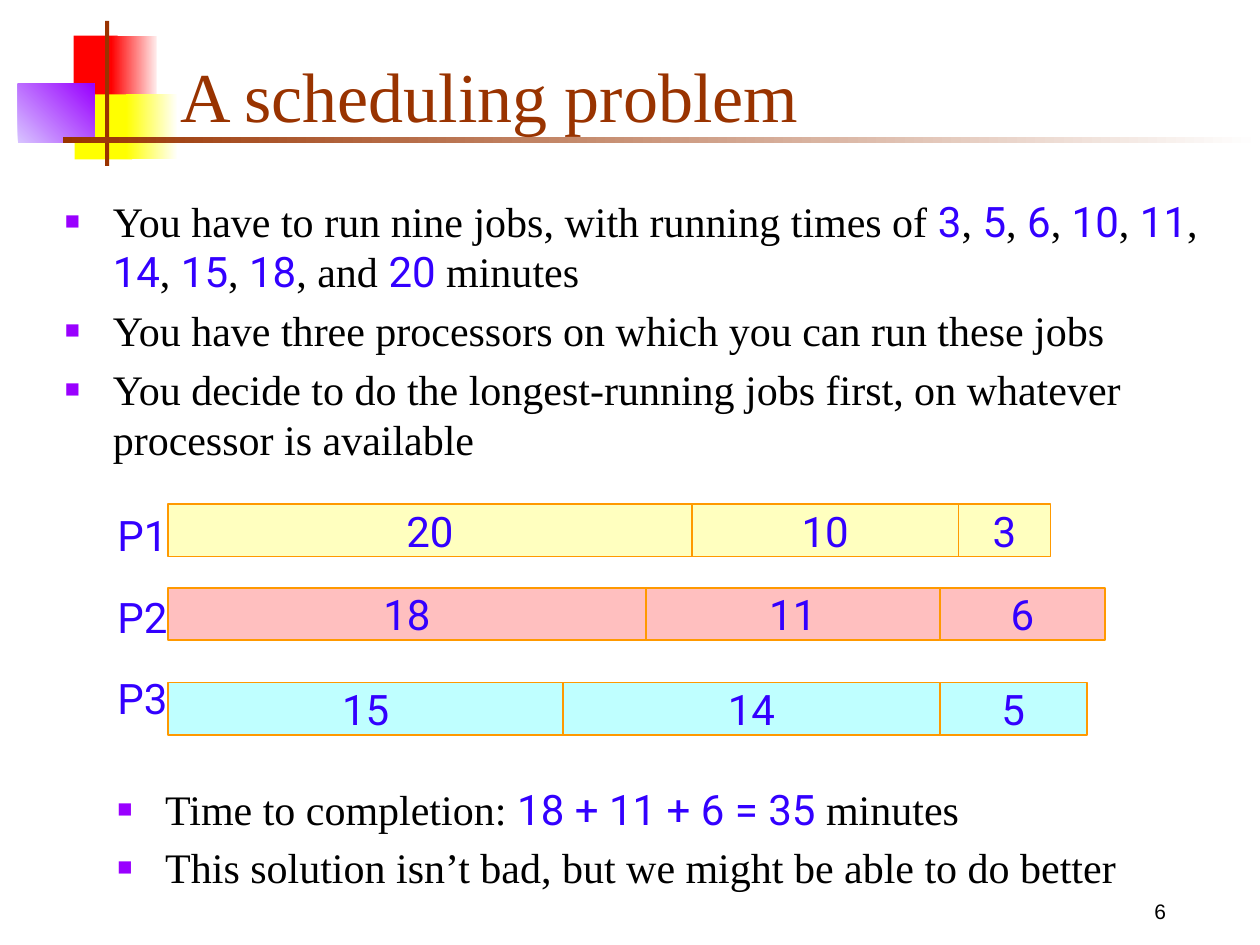
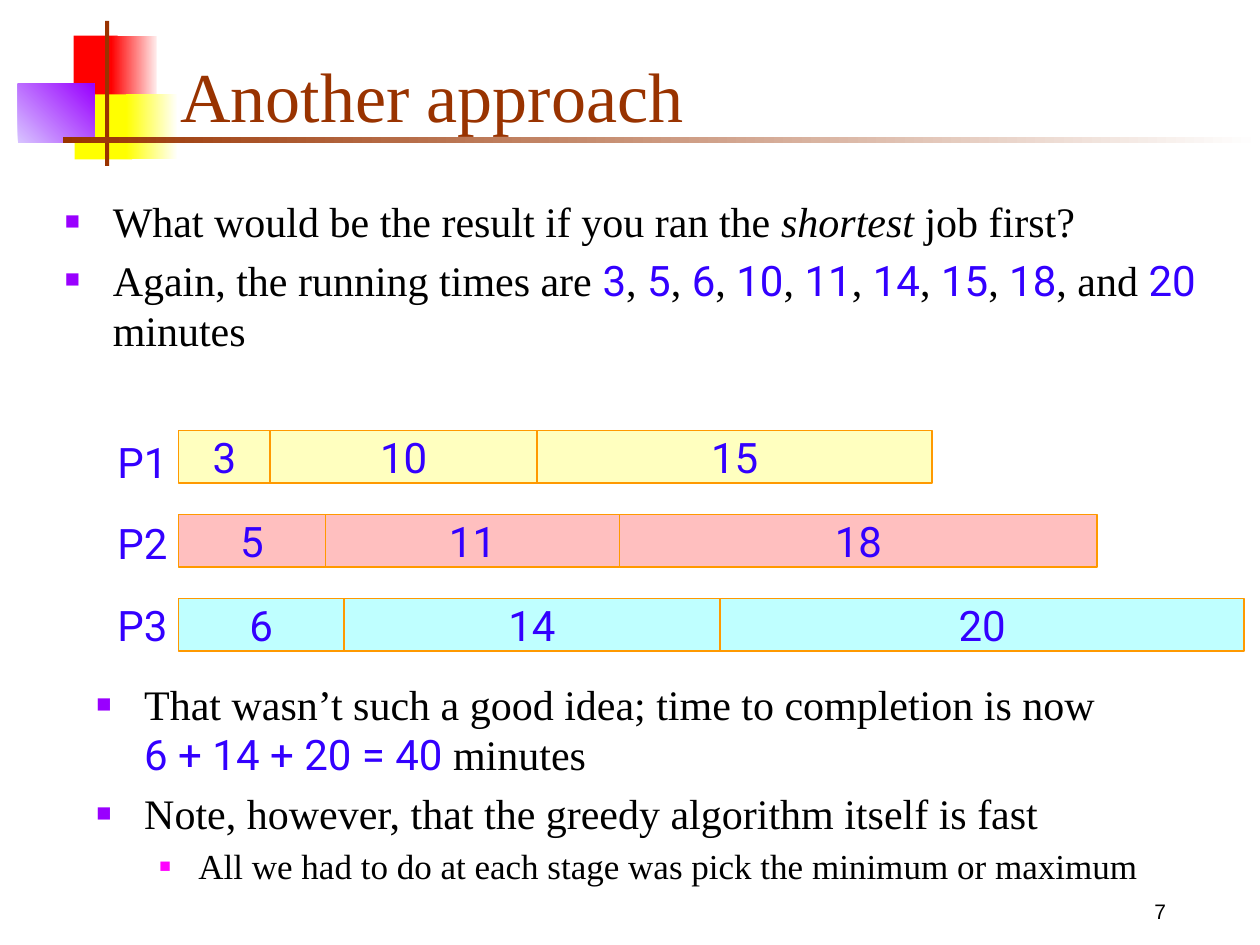
from collections import namedtuple

from lxml.etree import SubElement
from pptx import Presentation
from pptx.dml.color import RGBColor
from pptx.enum.shapes import MSO_SHAPE
from pptx.enum.text import MSO_ANCHOR, PP_ALIGN
from pptx.oxml.ns import qn
from pptx.util import Inches, Pt

BLACK = RGBColor(0x00, 0x00, 0x00)
BROWN = RGBColor(0x99, 0x33, 0x00)
BLUE = RGBColor(0x33, 0x00, 0xFF)
RED = RGBColor(0xFF, 0x00, 0x00)
PALE_RED = RGBColor(0xFF, 0xEA, 0xEA)
YELLOW = RGBColor(0xFF, 0xFF, 0x00)
PALE_YELLOW = RGBColor(0xFF, 0xFF, 0xF8)
PURPLE = RGBColor(0x99, 0x00, 0xFF)
LILAC = RGBColor(0xD8, 0xC4, 0xFF)
MAGENTA = RGBColor(0xFF, 0x00, 0xFF)
WHITE = RGBColor(0xFF, 0xFF, 0xFF)
ORANGE = RGBColor(0xFF, 0x99, 0x00)
PROCESSOR_COLOURS = {
    "P1": RGBColor(0xFF, 0xFF, 0xBF),
    "P2": RGBColor(0xFF, 0xBF, 0xBF),
    "P3": RGBColor(0xBF, 0xFF, 0xFF),
}

SERIF, SANS, NUMBER_FONT = "Times New Roman", "Arial", "Roboto"

# The slide is a grid of 120 columns by 90 rows, twelve cells to the inch.
COLUMNS, ROWS = 120, 90
CELL = Inches(10) / COLUMNS
Box = namedtuple("Box", "left top width height")
Level = namedtuple("Level", "size indent hanging bullet_colour bullet_share")

LEVELS = (
    Level(24, 0.38, 0.38, PURPLE, 60),
    Level(20, 0.81, 0.31, MAGENTA, 55),
)

TITLE_BOX = Box(16, 4, 102.2, 10)
NUMBER_BOX = Box(104, 85, 13, 3.6)
BAR_HEIGHT = 5
# Columns taken by a job of each running time in minutes
JOB_COLUMNS = {3: 8.75, 5: 14, 6: 15.75, 10: 25.4, 11: 28,
               14: 35.85, 15: 37.65, 18: 45.5, 20: 49.9}

# Box, colours from first to last stop, gradient angle
ORNAMENTS = (
    (Box(7, 3.4, 4.2, 6.2), [RED], 0),
    (Box(10.6, 3.4, 4.3, 6.2), [RED, PALE_RED], 0),
    (Box(7.1, 9, 5.5, 6.2), [YELLOW], 0),
    (Box(12, 9, 4.8, 6.2), [YELLOW, PALE_YELLOW], 0),
    (Box(1.7, 8, 7.3, 5.6), [LILAC, PURPLE], 45),
    (Box(10, 2, 0.4, 13.8), [BROWN], 0),
    (Box(6, 13, 114, 0.6), [BROWN, WHITE], 0),
)


def cells(box):
    return [round(length * CELL) for length in box]


def style(font, name, size, colour):
    font.name = name
    font.size = Pt(size)
    font.color.rgb = colour


def add_rectangle(page, box, colours, angle=0):
    """Draw a borderless rectangle, with a gradient if it has two colours."""
    shape = page.shapes.add_shape(MSO_SHAPE.RECTANGLE, *cells(box))
    shape.shadow.inherit = False
    shape.line.fill.background()
    if len(colours) == 1:
        shape.fill.solid()
        shape.fill.fore_color.rgb = colours[0]
    else:
        shape.fill.gradient()
        shape.fill.gradient_angle = angle
        for stop, colour in zip(shape.fill.gradient_stops, colours):
            stop.color.rgb = colour
    return shape


def add_text_frame(page, box):
    frame = page.shapes.add_textbox(*cells(box)).text_frame
    frame.word_wrap = True
    return frame


def add_line(page, box, text, font_name, size, colour):
    """Add a text box holding one paragraph and return its frame."""
    frame = add_text_frame(page, box)
    frame.text = text
    style(frame.paragraphs[0].runs[0].font, font_name, size, colour)
    return frame


def next_paragraph(frame, index, space):
    if index == 0:
        return frame.paragraphs[0]
    para = frame.add_paragraph()
    para.space_before = Pt(space)
    return para


def add_bullet(para, level):
    properties = para._p.get_or_add_pPr()
    properties.set("marL", str(Inches(level.indent)))
    properties.set("indent", str(-Inches(level.hanging)))
    colour = SubElement(properties, qn("a:buClr"))
    SubElement(colour, qn("a:srgbClr"), val=str(level.bullet_colour))
    SubElement(properties, qn("a:buSzPct"), val=str(level.bullet_share * 1000))
    SubElement(properties, qn("a:buFont"), typeface=SANS)
    SubElement(properties, qn("a:buChar"), char="■")


def add_spans(para, text, size):
    """Write text in which `ticks` mark numbers and _underscores_ italics."""
    for line_index, line in enumerate(text.split("\n")):
        if line_index:
            para.add_line_break()
        for tick_index, part in enumerate(line.split("`")):
            for score_index, piece in enumerate(part.split("_")):
                if not piece:
                    continue
                span = para.add_run()
                span.text = piece
                if tick_index % 2:
                    style(span.font, NUMBER_FONT, size, BLUE)
                else:
                    style(span.font, SERIF, size, BLACK)
                if score_index % 2:
                    span.font.italic = True


def add_bullets(page, box, items):
    frame = add_text_frame(page, box)
    for index, (depth, text) in enumerate(items):
        level = LEVELS[depth]
        para = next_paragraph(frame, index, level.size * 0.2)
        para.level = depth
        add_bullet(para, level)
        add_spans(para, text, level.size)


def add_job(page, box, minutes, colour):
    bar = add_rectangle(page, box, [colour])
    bar.line.color.rgb = ORANGE
    bar.line.width = Pt(1)
    frame = bar.text_frame
    frame.word_wrap = False
    frame.vertical_anchor = MSO_ANCHOR.MIDDLE
    frame.text = str(minutes)
    para = frame.paragraphs[0]
    para.alignment = PP_ALIGN.CENTER
    style(para.runs[0].font, NUMBER_FONT, 24, BLUE)


def add_schedule(page, left, row_tops, schedule):
    """Draw one row of end-to-end jobs for each processor, with its labels."""
    labels = add_text_frame(page, Box(10, row_tops[0] - 1, 8, 23.2))
    for index, (processor, jobs) in enumerate(schedule.items()):
        start = left
        for minutes in jobs:
            box = Box(start, row_tops[index], JOB_COLUMNS[minutes], BAR_HEIGHT)
            add_job(page, box, minutes, PROCESSOR_COLOURS[processor])
            start += JOB_COLUMNS[minutes]
        para = next_paragraph(labels, index, 12)
        para.line_spacing = 1.2
        para.text = processor
        style(para.runs[0].font, NUMBER_FONT, 24, BLUE)


def add_page(deck, title, number):
    """Add a slide with the shared ornaments, title and slide number."""
    page = deck.slides.add_slide(deck.slide_layouts[6])
    for box, colours, angle in ORNAMENTS:
        add_rectangle(page, box, colours, angle)
    heading = add_line(page, TITLE_BOX, title, SERIF, 40, BROWN)
    heading.vertical_anchor = MSO_ANCHOR.MIDDLE
    footer = add_line(page, NUMBER_BOX, str(number), SANS, 12, BLACK)
    footer.paragraphs[0].alignment = PP_ALIGN.CENTER
    return page


def running_times():
    *others, longest = JOB_COLUMNS
    return ", ".join(f"`{minutes}`" for minutes in others) + f", and `{longest}` minutes"


def build_longest_first(deck):
    page = add_page(deck, "A scheduling problem", 6)
    add_bullets(page, Box(5, 18, 112.5, 27.7), [
        (0, f"You have to run nine jobs, with running times of {running_times()}"),
        (0, "You have three processors on which you can run these jobs"),
        (0, "You decide to do the longest-running jobs first, "
            "on whatever processor is available"),
    ])
    add_schedule(page, 16, (48, 56, 65),
                 {"P1": (20, 10, 3), "P2": (18, 11, 6), "P3": (15, 14, 5)})
    add_bullets(page, Box(10, 74, 101, 14), [
        (0, "Time to completion: `18 + 11 + 6 = 35` minutes"),
        (0, "This solution isn’t bad, but we might be able to do better"),
    ])


def build_shortest_first(deck):
    page = add_page(deck, "Another approach", 7)
    add_bullets(page, Box(5, 18, 112.5, 18.8), [
        (0, "What would be the result if you ran the _shortest_ job first?"),
        (0, f"Again, the running times are {running_times()}"),
    ])
    add_bullets(page, Box(8, 64, 103, 24), [
        (0, "That wasn’t such a good idea; time to completion is now\n"
            "`6 + 14 + 20 = 40` minutes"),
        (0, "Note, however, that the greedy algorithm itself is fast"),
        (1, "All we had to do at each stage was pick the minimum or maximum"),
    ])
    add_schedule(page, 17, (41, 49, 57),
                 {"P1": (3, 10, 15), "P2": (5, 11, 18), "P3": (6, 14, 20)})


def main():
    deck = Presentation()
    deck.slide_width = round(COLUMNS * CELL)
    deck.slide_height = round(ROWS * CELL)
    build_longest_first(deck)
    build_shortest_first(deck)
    deck.save("out.pptx")


if __name__ == "__main__":
    main()
